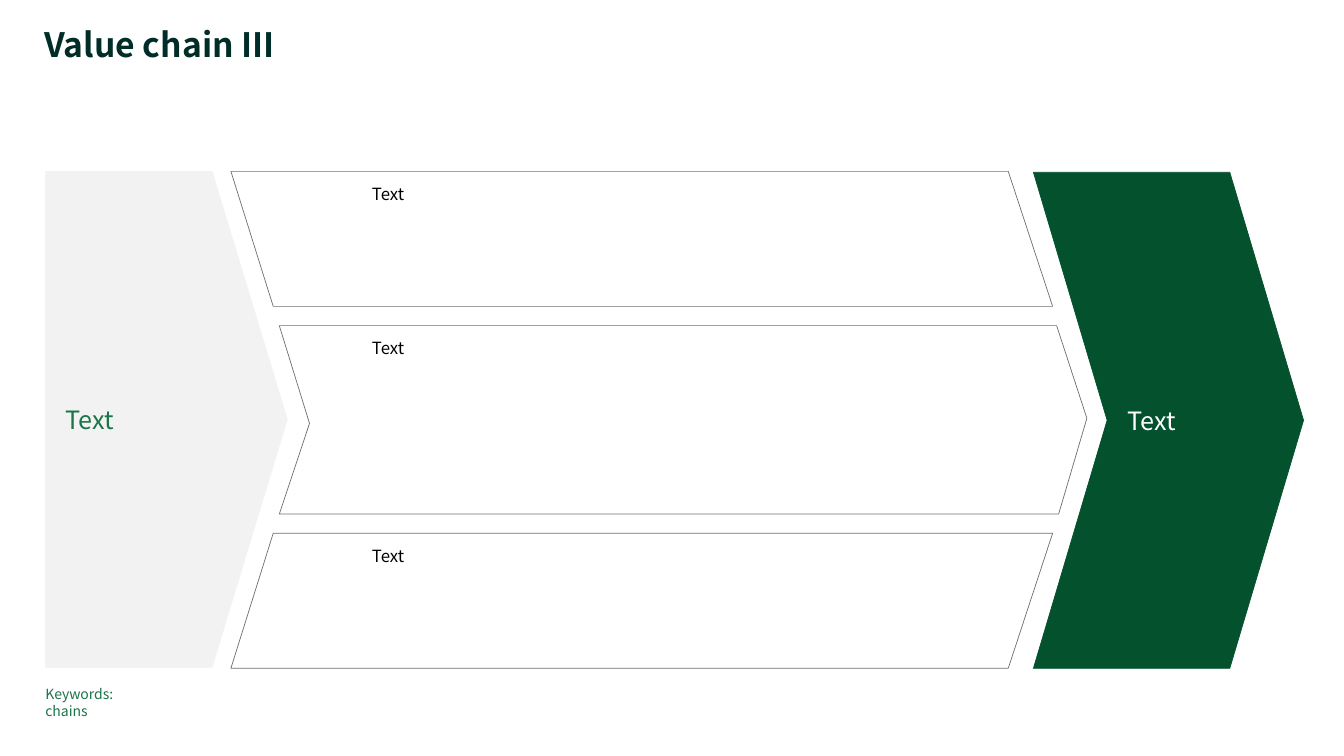
import pptx
import pptx.util
import pptx.dml.color
import pptx.enum.shapes
import pptx.enum.text

WIDTH = pptx.util.Inches(13.33)
HEIGHT = pptx.util.Inches(7.5)
FACE = "Noto Sans CJK JP"
HUES = {"dark": "03522D", "pale": "F2F2F2", "mid": "1A7449", "ink": "002D28",
        "edge": "6E6F73", "white": "FFFFFF", "black": "000000"}
KIND = pptx.enum.shapes.MSO_SHAPE
ANCHOR = pptx.enum.text.MSO_ANCHOR
SIZING = pptx.enum.text.MSO_AUTO_SIZE
LEFT = pptx.enum.text.PP_ALIGN.LEFT

# All places and sizes are percent of the slide's width or height.
TOP, BASE = 22.67, 88.4
TIER = [(17.18, TOP), (20.33, 40.53), (78.32, 40.53), (75.02, TOP)]
CORE = [(20.78, 43.07), (23.03, 56), (20.78, 68),
        (78.77, 68), (80.87, 55.33), (78.62, 43.07)]


def spot(x, y):
    return round(WIDTH * x / 100), round(HEIGHT * y / 100)


def area(x, y, wide, high):
    return spot(x, y) + spot(wide, high)


def hue(name):
    return pptx.dml.color.RGBColor.from_string(HUES[name])


def put(target, values):
    for key, value in values.items():
        setattr(target, key, value)


def paint(shape, fill, edge):
    shape.shadow.inherit = False
    shape.fill.solid()
    shape.fill.fore_color.rgb = hue(fill)
    shape.line.color.rgb = hue(edge)
    shape.line.width = pptx.util.Pt(0.5)


def write(shape, text, size, color, pads=(0, 0, 0, 0), bold=False,
          frame=None, para=None):
    """Set the text; pads are left, top, right, bottom in inches."""
    body = shape.text_frame
    body.text = text
    sides = ("margin_left", "margin_top", "margin_right", "margin_bottom")
    put(body, dict(zip(sides, map(pptx.util.Inches, pads))))
    put(body, {"word_wrap": True, "vertical_anchor": ANCHOR.TOP,
               **(frame or {})})
    line = body.paragraphs[0]
    put(line, {"alignment": LEFT, **(para or {})})
    for run in line.runs:
        put(run.font, {"name": FACE, "size": pptx.util.Pt(size), "bold": bold})
        run.font.color.rgb = hue(color)


def arrow(slide, kind, place, bend, fill, color, para=None):
    shape = slide.shapes.add_shape(kind, *area(*place))
    shape.adjustments[0] = bend
    paint(shape, fill, fill)
    write(shape, "Text", 18, color, (0.2, 0.12, 0.16, 0.12),
          frame={"vertical_anchor": ANCHOR.MIDDLE}, para=para)


def panel(slide, points):
    start, *rest = [spot(*point) for point in points]
    path = slide.shapes.build_freeform(*start)
    path.add_line_segments(rest, close=True)
    paint(path.convert_to_shape(), "white", "edge")


def label(slide, place, text, size, color, **style):
    box = slide.shapes.add_textbox(*area(*place))
    write(box, text, size, color,
          frame={"auto_size": SIZING.SHAPE_TO_FIT_TEXT}, **style)


def head(slide, text):
    title = slide.shapes.title
    put(title, dict(zip(("left", "top", "width", "height"),
                        area(3.3, 3.73, 82.75, 4.93))))
    write(title, text, 24, "ink", bold=True, para={"line_spacing": 0.9})


def main():
    deck = pptx.Presentation()
    put(deck, {"slide_width": WIDTH, "slide_height": HEIGHT})
    slide = deck.slides.add_slide(deck.slide_layouts[5])
    head(slide, "Value chain III")

    arrow(slide, KIND.CHEVRON, (76.89, 22.8, 20.1, 65.6), 0.273,
          "dark", "white")
    arrow(slide, KIND.PENTAGON, (3.38, TOP, 18, 65.6), 0.311,
          "pale", "mid", {"space_before": pptx.util.Pt(4)})

    mirror = [(x, TOP + BASE - y) for x, y in TIER]
    for points in (TIER, mirror, CORE):
        panel(slide, points)
        top = min(y for x, y in points)
        label(slide, (27.68, top, 38.03, 4.4), "Text", 12, "black",
              pads=(0, 0.12, 0, 0))

    label(slide, (3.38, 90.67, 8.18, 2.27), "Keywords:\vchains", 10, "mid",
          para={"space_after": pptx.util.Pt(1.1)})
    deck.save("out.pptx")


if __name__ == "__main__":
    main()
